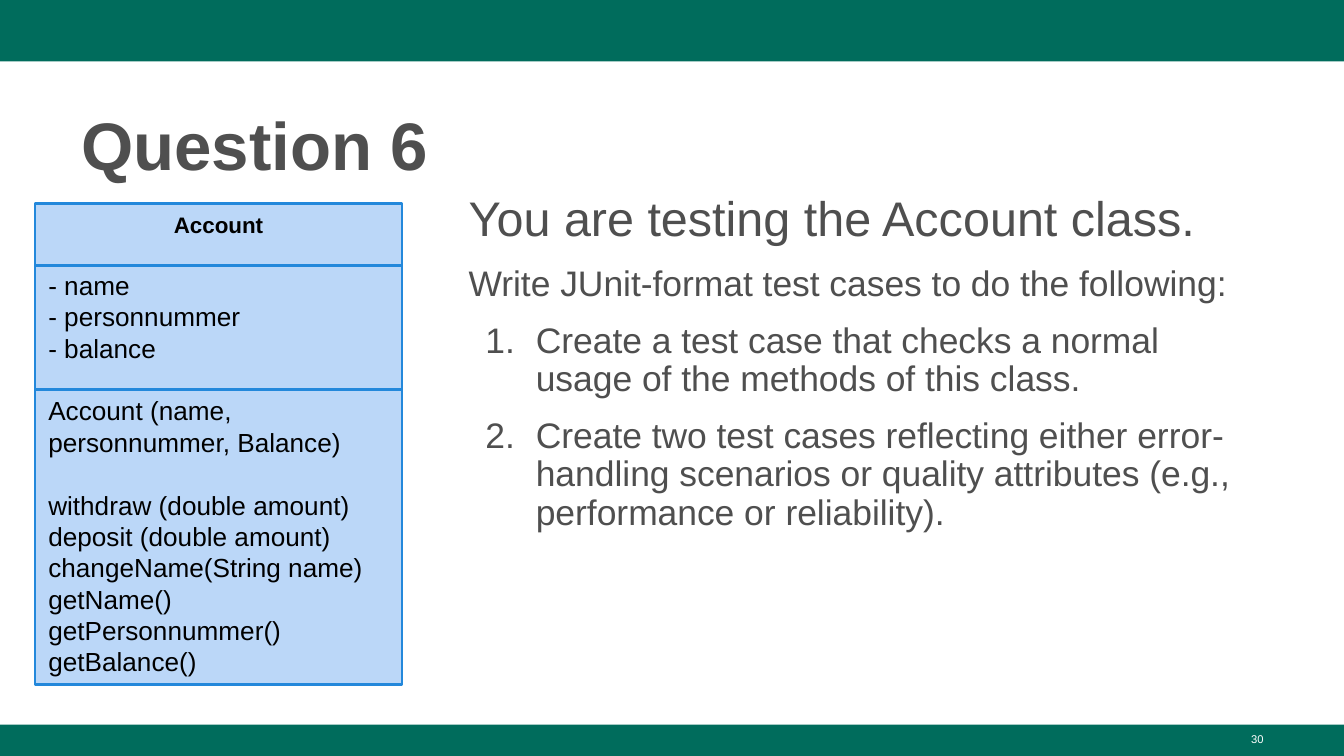
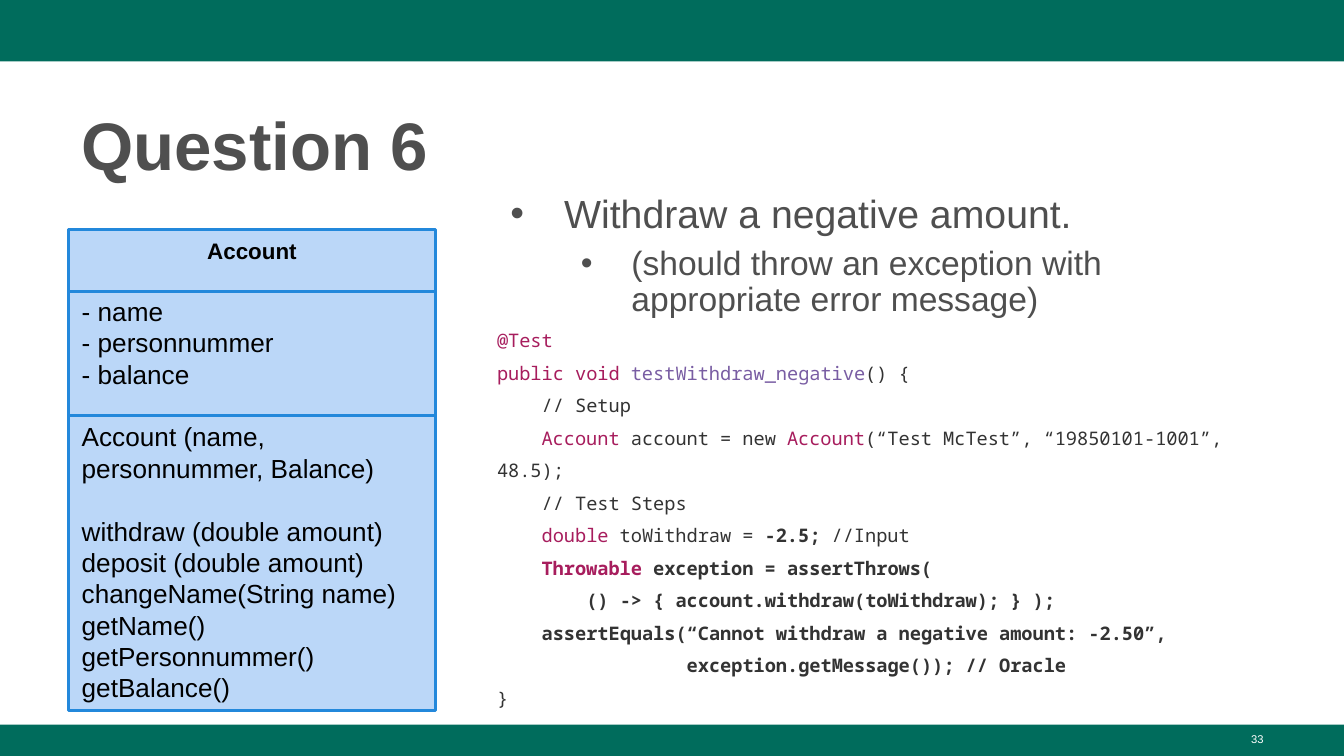
import pptx
import pptx.dml.color
import pptx.enum.shapes
import pptx.enum.text
import pptx.oxml
import pptx.oxml.ns
import pptx.util

Pt = pptx.util.Pt
ALIGN = pptx.enum.text.PP_ALIGN
ANCHOR = pptx.enum.text.MSO_ANCHOR

WIDTH, HEIGHT = 720, 405
GREEN, GREY, WHITE, BLACK = "006C5C", "4F4F4F", "FFFFFF", "000000"
BOX_FILL, BOX_LINE = "BBD7F8", "2388DB"
KEYWORD, METHOD, CODE = "A71D5D", "795DA3", "333333"

BANDS = [(0, 33), (388.2, 16.8)]
TITLE_PLACE = (36.5, 48.4, 647.5, 52.5)
NUMBER_PLACE = (516.2, 388.7, 167.8, 16.8)
BODY_TOP, BODY_RIGHT, BODY_HEIGHT = 100.8, 684, 274.4
BOX_WIDTH, BOX_HEIGHT, DIVIDERS = 196.6, 257.9, (33.3, 99.8)

STYLES = {
    "title": {"paragraph": {"line_spacing": 1.08}, "font": {"size": Pt(36), "bold": True}},
    "number": {"paragraph": {"alignment": ALIGN.RIGHT}, "font": {"size": Pt(6)}, "color": WHITE},
    "lead": {"paragraph": {"line_spacing": 0.9}, "font": {"size": Pt(26)}},
    "task": {"paragraph": {"line_spacing": 0.9, "space_before": Pt(10)}, "font": {"size": Pt(19)}},
    "step": {"paragraph": {"line_spacing": 0.9, "space_before": Pt(10)}, "font": {"size": Pt(19)},
             "indent": (36, -27), "bullet": '<a:buAutoNum {} type="arabicPeriod"/>'},
    "case": {"paragraph": {"line_spacing": 0.9}, "font": {"size": Pt(21)},
             "indent": (36, -28.8), "bullet": '<a:buChar {} char="•"/>'},
    "detail": {"paragraph": {"line_spacing": 0.9, "space_before": Pt(5), "level": 1},
               "font": {"size": Pt(18)}, "indent": (72, -27), "bullet": '<a:buChar {} char="•"/>'},
    "code": {"paragraph": {"line_spacing": 1.45},
             "font": {"size": Pt(10), "name": "Noto Sans Mono"}, "color": CODE},
    "class": {"paragraph": {"alignment": ALIGN.CENTER},
              "font": {"size": Pt(12), "bold": True}, "color": BLACK},
    "member": {"paragraph": {"alignment": ALIGN.LEFT}, "font": {"size": Pt(14)}, "color": BLACK},
    "group": {"paragraph": {"alignment": ALIGN.LEFT, "space_before": Pt(16.8)},
              "font": {"size": Pt(14)}, "color": BLACK},
}

ACCOUNT_CLASS = [
    ("class", "Account"),
    ("group", "- name"),
    ("member", "- personnummer"),
    ("member", "- balance"),
    ("group", "Account (name, personnummer, Balance)"),
    ("group", "withdraw (double amount)"),
    ("member", "deposit (double amount)"),
    ("member", "changeName(String name)"),
    ("member", "getName()"),
    ("member", "getPersonnummer()"),
    ("member", "getBalance()"),
]

SLIDES = [
    {"title": "Question 6", "number": "30", "body_left": 244, "box": (18.8, 109), "body": [
        ("lead", "You are testing the Account class."),
        ("task", "Write JUnit-format test cases to do the following:"),
        ("step", "Create a test case that checks a normal usage of the methods of this class."),
        ("step", "Create two test cases reflecting either error-handling scenarios "
                 "or quality attributes (e.g., performance or reliability)."),
    ]},
    {"title": "Question 6", "number": "33", "body_left": 259.2, "box": (36.7, 122.9), "body": [
        ("case", "Withdraw a negative amount."),
        ("detail", "(should throw an exception with appropriate error message)"),
        ("code", [("@Test\npublic void ", KEYWORD), ("testWithdraw_negative", METHOD), ("() {", CODE)]),
        ("code", [("    // Setup\n    ", CODE), ("Account", KEYWORD), (" account = new ", CODE),
                  ("Account", KEYWORD), ("(“Test McTest”, “19850101-1001”, 48.5);", CODE)]),
        ("code", "    // Test Steps"),
        ("code", [("    double", KEYWORD), (" toWithdraw = ", CODE), ("-2.5;", CODE, True),
                  (" //Input", CODE)]),
        ("code", [("    ", CODE, True), ("Throwable", KEYWORD, True),
                  (" exception = assertThrows(", CODE, True)]),
        ("code", [("        () -> { account.withdraw(toWithdraw); } );\n"
                   "    assertEquals(“Cannot withdraw a negative amount: -2.50”,", CODE, True)]),
        ("code", [("                 exception.getMessage()); // Oracle\n", CODE, True), ("}", CODE)]),
    ]},
]


def rgb(value):
    return pptx.dml.color.RGBColor.from_string(value)


def apply(target, values):
    for name, value in values.items():
        setattr(target, name, value)


def set_bullet(paragraph, style):
    properties = paragraph._p.get_or_add_pPr()
    margin, indent = style["indent"]
    properties.set("marL", str(Pt(margin)))
    properties.set("indent", str(Pt(indent)))
    for markup in (f'<a:buClr {{}}><a:srgbClr val="{GREY}"/></a:buClr>',
                   '<a:buFont {} typeface="Arial"/>', style["bullet"]):
        properties.append(pptx.oxml.parse_xml(markup.format(pptx.oxml.ns.nsdecls("a"))))


def add_piece(paragraph, style, text, color, bold=False):
    for index, line in enumerate(text.split("\n")):
        if index:
            paragraph.add_line_break()
        if line:
            run = paragraph.add_run()
            run.text = line
            apply(run.font, {"name": "Arial", "bold": bold, **style["font"]})
            run.font.color.rgb = rgb(color)


def write(shape, paragraphs, inset=3.6, anchor=ANCHOR.TOP):
    frame = shape.text_frame
    apply(frame, {"word_wrap": True, "vertical_anchor": anchor, "margin_left": Pt(7.2),
                  "margin_right": Pt(7.2), "margin_top": Pt(inset), "margin_bottom": Pt(inset)})
    for index, (style_name, content) in enumerate(paragraphs):
        style = STYLES[style_name]
        paragraph = frame.add_paragraph() if index else frame.paragraphs[0]
        apply(paragraph, style["paragraph"])
        if "bullet" in style:
            set_bullet(paragraph, style)
        pieces = [(content, style.get("color", GREY))] if isinstance(content, str) else content
        for piece in pieces:
            add_piece(paragraph, style, *piece)


def add_text(slide, place, paragraphs):
    write(slide.shapes.add_textbox(*map(Pt, place)), paragraphs)


def add_rectangle(slide, place, fill):
    shape = slide.shapes.add_shape(pptx.enum.shapes.MSO_SHAPE.RECTANGLE, *map(Pt, place))
    shape.shadow.inherit = False
    shape.fill.solid()
    shape.fill.fore_color.rgb = rgb(fill)
    shape.line.fill.background()
    return shape


def set_line(shape):
    shape.line.color.rgb = rgb(BOX_LINE)
    shape.line.width = Pt(1.5)


def add_class_box(slide, left, top):
    box = add_rectangle(slide, (left, top, BOX_WIDTH, BOX_HEIGHT), BOX_FILL)
    set_line(box)
    write(box, ACCOUNT_CLASS, 7.2, ANCHOR.MIDDLE)
    for offset in DIVIDERS:
        ends = (left, top + offset, left + BOX_WIDTH, top + offset)
        divider = slide.shapes.add_connector(pptx.enum.shapes.MSO_CONNECTOR.STRAIGHT, *map(Pt, ends))
        set_line(divider)
        divider._element.spPr.append(
            pptx.oxml.parse_xml(f'<a:effectLst {pptx.oxml.ns.nsdecls("a")}/>'))


def add_slide(presentation, content):
    slide = presentation.slides.add_slide(presentation.slide_layouts[6])
    for top, height in BANDS:
        add_rectangle(slide, (0, top, WIDTH, height), GREEN)
    add_text(slide, TITLE_PLACE, [("title", content["title"])])
    left = content["body_left"]
    add_text(slide, (left, BODY_TOP, BODY_RIGHT - left, BODY_HEIGHT), content["body"])
    add_text(slide, NUMBER_PLACE, [("number", content["number"])])
    add_class_box(slide, *content["box"])


def main():
    presentation = pptx.Presentation()
    apply(presentation, {"slide_width": Pt(WIDTH), "slide_height": Pt(HEIGHT)})
    for content in SLIDES:
        add_slide(presentation, content)
    presentation.save("out.pptx")


if __name__ == "__main__":
    main()
